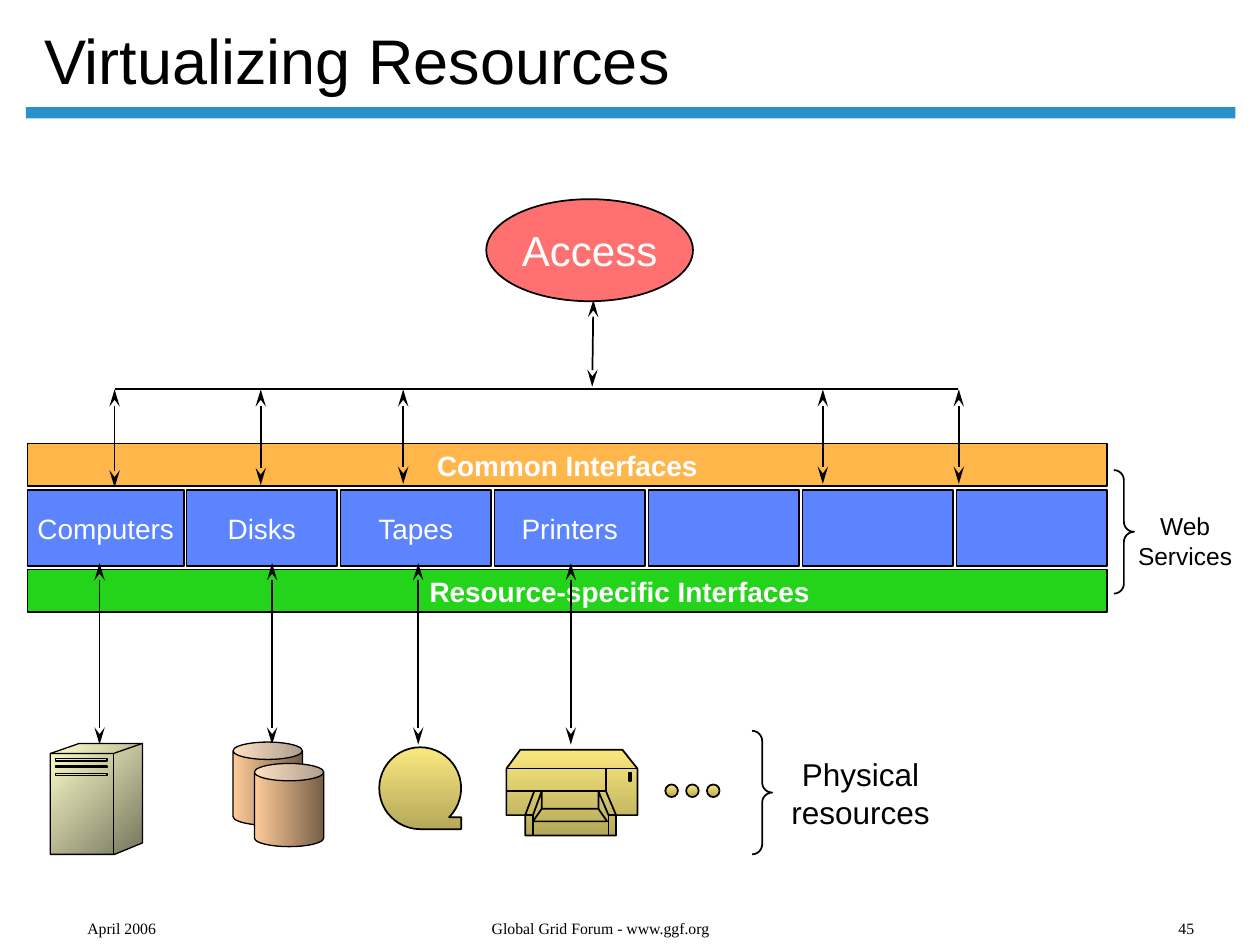
from dataclasses import dataclass

from pptx import Presentation
from pptx.dml.color import RGBColor
from pptx.enum.shapes import MSO_CONNECTOR, MSO_SHAPE
from pptx.enum.text import MSO_ANCHOR, MSO_AUTO_SIZE, PP_ALIGN
from pptx.oxml.ns import qn
from pptx.oxml.xmlchemy import OxmlElement
from pptx.util import Pt

RECT = MSO_SHAPE.RECTANGLE
OVAL = MSO_SHAPE.OVAL
CAN = MSO_SHAPE.CAN
TAPE = MSO_SHAPE.FLOWCHART_SEQUENTIAL_ACCESS_STORAGE
BRACE = MSO_SHAPE.RIGHT_BRACE
LINE = MSO_CONNECTOR.STRAIGHT
LEFT, CENTER = PP_ALIGN.LEFT, PP_ALIGN.CENTER
TOP, MIDDLE, BOTTOM = MSO_ANCHOR.TOP, MSO_ANCHOR.MIDDLE, MSO_ANCHOR.BOTTOM
FIXED = MSO_AUTO_SIZE.NONE

BLACK = RGBColor(0x00, 0x00, 0x00)
WHITE = RGBColor(0xFF, 0xFF, 0xFF)
AZURE = RGBColor(0x29, 0x90, 0xCA)
CORAL = RGBColor(0xFF, 0x71, 0x71)
GREEN = RGBColor(0x23, 0xD4, 0x1A)
AMBER = RGBColor(0xFF, 0xB6, 0x4B)
BLUE = RGBColor(0x5D, 0x84, 0xFF)


@dataclass(frozen=True)
class Box:
    x: float
    y: float
    w: float
    h: float


@dataclass(frozen=True)
class Blend:
    start: RGBColor
    end: RGBColor
    angle: int


@dataclass(frozen=True)
class Pad:
    left: float = 0
    right: float = 0
    edge: float = 0


@dataclass(frozen=True)
class Style:
    size: float
    color: RGBColor = WHITE
    bold: bool = False
    align: PP_ALIGN = CENTER
    anchor: MSO_ANCHOR = MIDDLE
    font: str = "Arial"
    pad: Pad = Pad()
    wrap: bool = False


@dataclass(frozen=True)
class Arrow:
    x: float
    top: float
    end: float
    shift: float = 0


Points = list[tuple[float, float]]

GOLD = Blend(RGBColor(0xFA, 0xE8, 0x7E), RGBColor(0xB5, 0xA8, 0x5B), 270)
OLIVE = Blend(RGBColor(0x75, 0x75, 0x5E), RGBColor(0xFF, 0xFF, 0xCC), 135)
PEACH = Blend(RGBColor(0x75, 0x5E, 0x46), RGBColor(0xFF, 0xCC, 0x99), 180)

ROOM = Pad(7.2, 7.2, 3.6)
HEAD = Style(36, BLACK, align=LEFT, anchor=BOTTOM, pad=ROOM, wrap=True)
FOOT = Style(9, BLACK, anchor=BOTTOM, font="Times New Roman", pad=ROOM, wrap=True)
BAND = Style(16, bold=True)
INSET = Style(16, bold=True, align=LEFT, pad=Pad(left=229.7), wrap=True)

BUS = 222.5
PORT, DEVICE = 321.8, 425.5
ARROWS = [
    Arrow(339.1, 171.4, 221, -0.7),
    Arrow(65.5, BUS, 278.6),
    Arrow(149, BUS, 277.2),
    *[Arrow(x, BUS, 276.5) for x in (230.4, 470.2, 547.9)],
    *[Arrow(x, PORT, DEVICE) for x in (56.9, 155.5, 239, 326.2)],
]


def place(shape, box: Box) -> None:
    shape.left, shape.top = Pt(box.x), Pt(box.y)
    shape.width, shape.height = Pt(box.w), Pt(box.h)


def write(shape, text: str, style: Style) -> None:
    frame = shape.text_frame
    frame.text = text
    frame.auto_size = FIXED
    frame.word_wrap = style.wrap
    frame.vertical_anchor = style.anchor
    frame.margin_left, frame.margin_right = Pt(style.pad.left), Pt(style.pad.right)
    frame.margin_top = frame.margin_bottom = Pt(style.pad.edge)
    for para in frame.paragraphs:
        para.alignment = style.align
        for run in para.runs:
            run.font.size = Pt(style.size)
            run.font.name = style.font
            run.font.bold = style.bold
            run.font.color.rgb = style.color


def paint(shape, fill: RGBColor | Blend | None, width: float = 1) -> None:
    shape.shadow.inherit = False
    if fill is None:
        shape.fill.background()
    elif isinstance(fill, Blend):
        shape.fill.gradient()
        shape.fill.gradient_angle = fill.angle
        for stop, color in zip(shape.fill.gradient_stops, (fill.start, fill.end)):
            stop.color.rgb = color
    else:
        shape.fill.solid()
        shape.fill.fore_color.rgb = fill
    if width:
        shape.line.color.rgb = BLACK
        shape.line.width = Pt(width)
    else:
        shape.line.fill.background()


def draw(slide, kind: MSO_SHAPE, box: Box, fill: RGBColor | Blend | None, width: float = 1):
    shape = slide.shapes.add_shape(kind, Pt(box.x), Pt(box.y), Pt(box.w), Pt(box.h))
    paint(shape, fill, width)
    return shape


def label(slide, text: str, box: Box, style: Style) -> None:
    shape = slide.shapes.add_textbox(Pt(box.x), Pt(box.y), Pt(box.w), Pt(box.h))
    write(shape, text, style)


def link(slide, start: tuple[float, float], end: tuple[float, float], heads: bool = True) -> None:
    line = slide.shapes.add_connector(LINE, *map(Pt, start + end))
    line.line.color.rgb = BLACK
    line.line.width = Pt(1)
    props = line.element.spPr
    if heads:
        for tag in ("a:headEnd", "a:tailEnd"):
            tip = OxmlElement(tag)
            tip.set("type", "stealth")
            tip.set("w", "med")
            tip.set("len", "lg")
            props.find(qn("a:ln")).append(tip)
    props.append(OxmlElement("a:effectLst"))


def trace(slide, paths: list[Points], fill: Blend | None, width: float) -> None:
    pens = [[(Pt(x), Pt(y)) for x, y in path] for path in paths]
    form = slide.shapes.build_freeform(*pens[0][0], scale=1.0)
    for index, pen in enumerate(pens):
        if index:
            form.move_to(*pen[0])
        form.add_line_segments(pen[1:], close=fill is not None)
    paint(form.convert_to_shape(), fill, width)


def ring(x: float, y: float, right: float, end: float) -> Points:
    return [(x, y), (right, y), (right, end), (x, end), (x, y)]


def printer(slide) -> None:
    trace(slide, [[(297.4, 428.4), (355.7, 428.4), (364.3, 439.2), (364.3, 465.8),
                   (352.1, 465.8), (352.1, 477.4), (300.2, 477.4), (300.2, 465.8),
                   (289.4, 465.8), (289.4, 439.2)]], GOLD, 1)
    trace(slide, [
        [(289.4, 439.2), (364.3, 439.2)],
        [(346.3, 439.2), (346.3, 452.2), (289.4, 452.2)],
        [(304.6, 465.8), (304.6, 477.4)],
        [(347.8, 465.8), (347.8, 477.4)],
        [(342, 462.2), (342, 452.2), (347.8, 465.8), (352.1, 465.8), (346.3, 452.2)],
        [(309.6, 462.2), (342, 462.2), (347, 469.4), (304.6, 469.4), (309.6, 462.2),
         (309.6, 452.2), (304.6, 465.8), (300.2, 465.8), (305.3, 452.2)],
        ring(359.3, 441.4, 360.7, 446.4),
    ], None, 1)


def tower(slide) -> None:
    trace(slide, [[(28.8, 430.6), (45.4, 424.8), (81.4, 424.8), (81.4, 481.7),
                   (65.5, 488.2), (28.8, 488.2)]], OLIVE, 0.75)
    slots = [ring(31.7, y, 61.2, y + h) for y, h in ((433.4, 1.5), (437.8, 0.7), (442.1, 1))]
    trace(slide, [[(28.8, 430.6), (64.8, 430.6), (81.4, 424.8)],
                  [(64.8, 430.6), (64.8, 488.2)], *slots], None, 0.75)


def main() -> None:
    deck = Presentation()
    deck.slide_width, deck.slide_height = Pt(720), Pt(540)
    slide = deck.slides.add_slide(deck.slide_layouts[5])
    draw(slide, RECT, Box(14.8, 61.2, 691.2, 6.5), AZURE, 0)
    title = slide.shapes.title
    place(title, Box(18, 9.4, 616.3, 50.4))
    write(title, "Virtualizing Resources", HEAD)
    title.text_frame.paragraphs[0].line_spacing = 0.9
    write(draw(slide, OVAL, Box(277.9, 113.8, 118.1, 58.3), CORAL), "Access", Style(24))
    for text, y, fill, style in (("Resource-specific Interfaces", 325.4, GREEN, INSET),
                                 ("Common Interfaces", 253.4, AMBER, BAND)):
        write(draw(slide, RECT, Box(15.8, y, 617, 24.5), fill), text, style)
    for index, text in enumerate(("Computers", "Disks", "Tapes", "Printers", "", "", "")):
        box = Box(18.6 + 88 * index, 280.1, 86, 43.2) if index else Box(15.8, 280.1, 89.3, 43.2)
        cell = draw(slide, RECT, box, BLUE)
        if text:
            write(cell, text, Style(16))
    link(slide, (547.2, BUS), (65.5, BUS), heads=False)
    for arrow in ARROWS:
        link(slide, (arrow.x, arrow.top), (arrow.x + arrow.shift, arrow.end))
    tower(slide)
    for step in (0, 12.2):
        draw(slide, CAN, Box(133.2 + step, 424.1 + step, 39.6, 47.5), PEACH, 0.75)
    draw(slide, TAPE, Box(216.7, 427, 46.8, 46.8), GOLD)
    printer(slide)
    for index in range(3):
        draw(slide, OVAL, Box(380.2 + 11.9 * index, 448.3, 7.2, 7.2), GOLD)
    for x, y in ((636.5, 268.6), (429.8, 417.6)):
        draw(slide, BRACE, Box(x, y, 11.5, 70.6), None).adjustments[0] = 0.5
    for text, box, size in (("Physical\vresources", Box(452.2, 431.3, 79.2, 43.2), 18),
                            ("Web\vServices", Box(650.2, 292.3, 54, 33.8), 14)):
        label(slide, text, box, Style(size, BLACK, anchor=TOP))
    for text, x, w in (("April 2006", 0, 139), ("Global Grid Forum - www.ggf.org", 167.8, 350.6),
                       ("45", 648, 59.8)):
        label(slide, text, Box(x, 522, w, 17.3), FOOT)
    deck.save("out.pptx")


if __name__ == "__main__":
    main()
